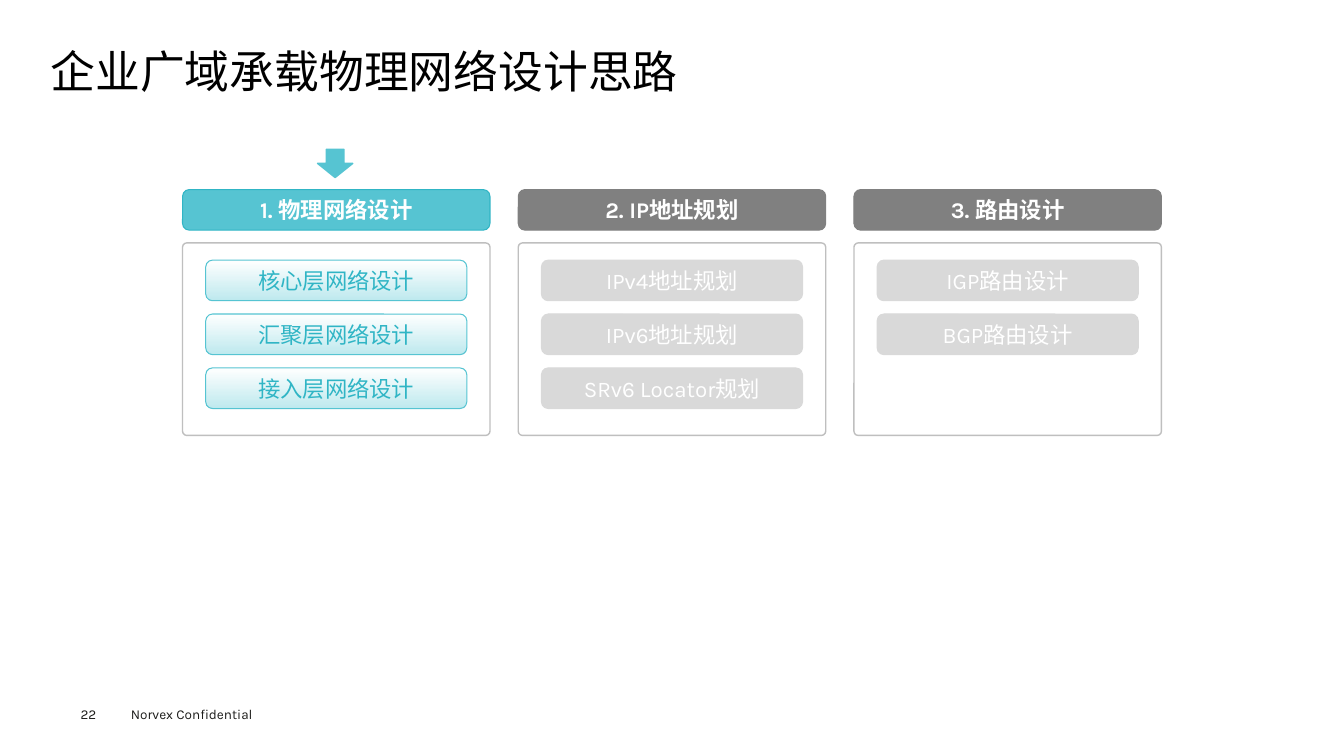
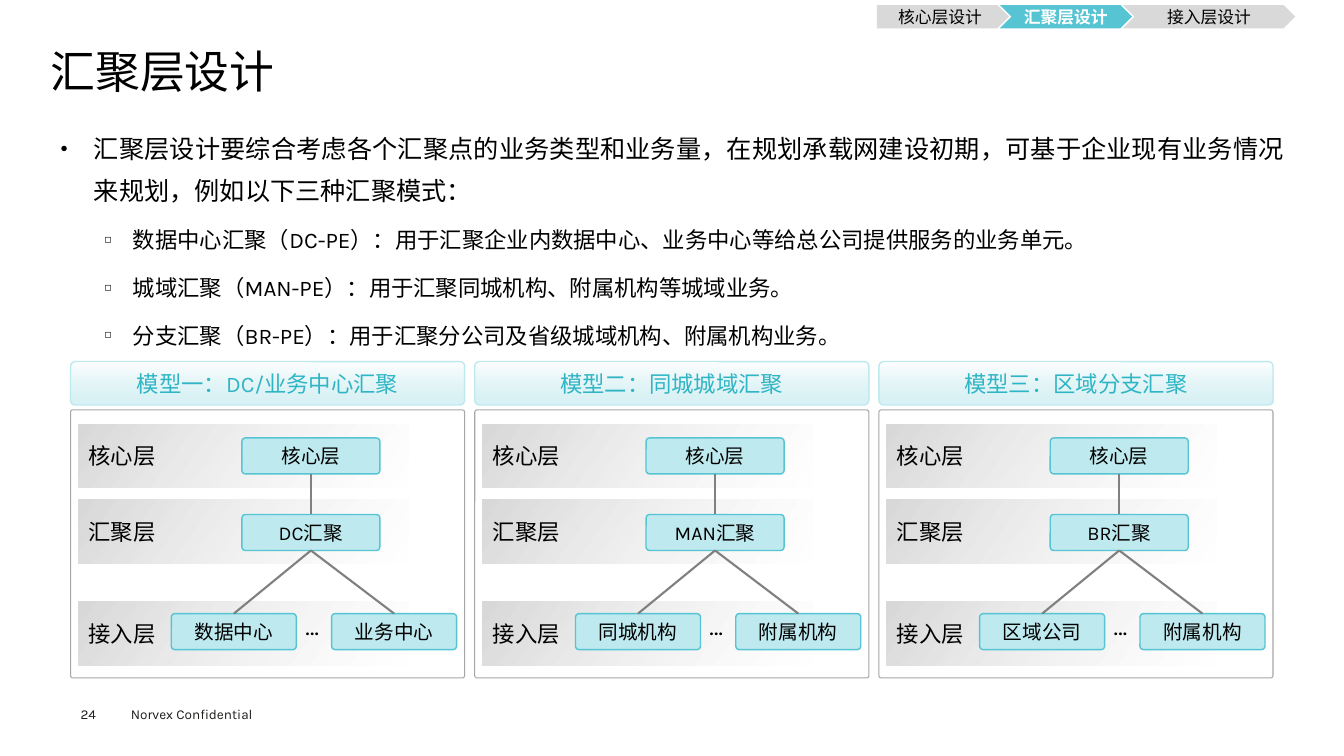
"""Build two slides on the physical design of an enterprise wide-area bearer network."""
from lxml.etree import SubElement
from pptx import Presentation
from pptx.dml.color import RGBColor
from pptx.enum.shapes import MSO_CONNECTOR, MSO_SHAPE
from pptx.enum.text import MSO_ANCHOR, MSO_AUTO_SIZE, PP_ALIGN
from pptx.oxml.ns import qn
from pptx.util import Pt

FONT = "Karla"
BLACK = RGBColor(0x00, 0x00, 0x00)
WHITE = RGBColor(0xFF, 0xFF, 0xFF)
INK = RGBColor(0x1D, 0x1D, 0x1B)
TEAL = RGBColor(0x56, 0xC4, 0xD2)
DEEP_TEAL = RGBColor(0x30, 0xB5, 0xC5)
PALE_TEAL = RGBColor(0xBE, 0xE9, 0xEE)
GREY = RGBColor(0x80, 0x80, 0x80)
FRAME_GREY = RGBColor(0xA6, 0xA6, 0xA6)
SOFT_GREY = RGBColor(0xBF, 0xBF, 0xBF)
PALE_GREY = RGBColor(0xD9, 0xD9, 0xD9)

ITEM_GRADIENT = (WHITE, PALE_TEAL, 100, 90)
MODEL_GRADIENT = (WHITE, PALE_TEAL, 60, 90)
BAND_GRADIENT = (PALE_GREY, WHITE, 50, 36)


def add_block(slide, kind, box, fill=None, line=None, line_width=1, corner=None):
    shape = slide.shapes.add_shape(kind, *[Pt(length) for length in box])
    shape.shadow.inherit = False
    if corner is not None:
        shape.adjustments[0] = corner
    if fill is None:
        shape.fill.background()
    elif isinstance(fill, RGBColor):
        shape.fill.solid()
        shape.fill.fore_color.rgb = fill
    else:
        start, end, opacity, angle = fill
        shape.fill.gradient()
        shape.fill.gradient_angle = 360 - angle
        first_stop, last_stop = shape.fill.gradient_stops
        first_stop.color.rgb = start
        last_stop.color.rgb = end
        if opacity < 100:
            last_color = list(shape.element.spPr.iter(qn("a:srgbClr")))[-1]
            SubElement(last_color, qn("a:alpha"), val=str(opacity * 1000))
    if line is None:
        shape.line.fill.background()
    else:
        shape.line.color.rgb = line
        shape.line.width = Pt(line_width)
    return shape


def write(shape, text, size, color, bold=False, alignment=PP_ALIGN.CENTER, margin=None):
    text_frame = shape.text_frame
    text_frame.text = text
    if margin is not None:
        text_frame.margin_left = text_frame.margin_right = Pt(margin)
        text_frame.margin_top = text_frame.margin_bottom = Pt(margin)
    paragraph = text_frame.paragraphs[0]
    paragraph.alignment = alignment
    for run in paragraph.runs:
        run.font.name = FONT
        run.font.size = Pt(size)
        run.font.bold = bold
        run.font.color.rgb = color


presentation = Presentation()
presentation.slide_width = Pt(960)
presentation.slide_height = Pt(540)

slides = []
for layout_index, title_text, number in [
    (5, "企业广域承载物理网络设计思路", "22"),
    (1, "汇聚层设计", "24"),
]:
    slide = presentation.slides.add_slide(presentation.slide_layouts[layout_index])
    title = slide.shapes.title
    title.left, title.top, title.width, title.height = Pt(36), Pt(35.3), Pt(889), Pt(38)
    write(title, title_text, 32, BLACK, alignment=PP_ALIGN.LEFT, margin=0)
    title.text_frame.vertical_anchor = MSO_ANCHOR.TOP
    title.text_frame.auto_size = MSO_AUTO_SIZE.NONE
    title.text_frame.paragraphs[0].line_spacing = 0.9
    footer = slide.shapes.add_textbox(Pt(86.4), Pt(500.4), Pt(115.2), Pt(19.4))
    write(footer, "Norvex Confidential", 9.7, INK, alignment=PP_ALIGN.LEFT)
    page_number = slide.shapes.add_textbox(Pt(57.6), Pt(504), Pt(39.6), Pt(11.5))
    write(page_number, number, 9.7, INK, alignment=PP_ALIGN.LEFT, margin=0)
    slides.append(slide)
overview_slide, aggregation_slide = slides

COLUMN_WIDTH, ITEM_WIDTH, ITEM_HEIGHT = 219.6, 186.5, 29
columns = [
    ("1. 物理网络设计", ["核心层网络设计", "汇聚层网络设计", "接入层网络设计"]),
    ("2. IP地址规划", ["IPv4地址规划", "IPv6地址规划", "SRv6 Locator规划"]),
    ("3. 路由设计", ["IGP路由设计", "BGP路由设计"]),
]
for column_index, (heading, items) in enumerate(columns):
    active = column_index == 0
    left = 130.4 + 239.8 * column_index
    header = add_block(
        overview_slide, MSO_SHAPE.ROUNDED_RECTANGLE, (left, 135.4, COLUMN_WIDTH, ITEM_HEIGHT),
        TEAL if active else GREY, DEEP_TEAL if active else GREY, 0.75)
    write(header, heading, 16, WHITE, bold=True)
    add_block(overview_slide, MSO_SHAPE.ROUNDED_RECTANGLE,
              (left, 173.5, COLUMN_WIDTH, 137.5), line=SOFT_GREY, corner=0.022)
    item_left = left + (COLUMN_WIDTH - ITEM_WIDTH) / 2
    for item_index, item_text in enumerate(items):
        item = add_block(
            overview_slide, MSO_SHAPE.ROUNDED_RECTANGLE,
            (item_left, 185.8 + 38.5 * item_index, ITEM_WIDTH, ITEM_HEIGHT),
            ITEM_GRADIENT if active else PALE_GREY, TEAL if active else PALE_GREY, 0.75)
        write(item, item_text, 16, DEEP_TEAL if active else WHITE)
add_block(overview_slide, MSO_SHAPE.DOWN_ARROW, (226.8, 106.6, 25.2, 20.2), TEAL, TEAL)

body = aggregation_slide.placeholders[1]
body.left, body.top, body.width, body.height = Pt(36), Pt(82.8), Pt(889), Pt(167.8)
body.text_frame.auto_size = MSO_AUTO_SIZE.NONE
body.text_frame.text = "\n".join([
    "汇聚层设计要综合考虑各个汇聚点的业务类型和业务量，在规划承载网建设初期，"
    "可基于企业现有业务情况来规划，例如以下三种汇聚模式：",
    "数据中心汇聚（DC-PE）：用于汇聚企业内数据中心、业务中心等给总公司提供服务的业务单元。",
    "城域汇聚（MAN-PE）：用于汇聚同城机构、附属机构等城域业务。",
    "分支汇聚（BR-PE）：用于汇聚分公司及省级城域机构、附属机构业务。",
])
for index, paragraph in enumerate(body.text_frame.paragraphs):
    lead = index == 0
    paragraph.level = 0 if lead else 1
    paragraph.alignment = PP_ALIGN.JUSTIFY if lead else PP_ALIGN.LEFT
    paragraph.line_spacing = 1.4
    paragraph.space_before = Pt(0 if lead else 7.2)
    properties = paragraph._p.get_or_add_pPr()
    properties.set("marL", str(Pt(23.8 if lead else 51.8)))
    properties.set("indent", str(Pt(-23.8 if lead else -20.2)))
    SubElement(properties, qn("a:buSzPct"), val="50000")
    SubElement(properties, qn("a:buChar"), char="●" if lead else "◻")
    for run in paragraph.runs:
        run.font.name = FONT
        run.font.size = Pt(18 if lead else 16)
        run.font.color.rgb = BLACK

for kind, left, width, step_text, active in [
    (MSO_SHAPE.PENTAGON, 626.4, 94.3, "核心层设计", False),
    (MSO_SHAPE.CHEVRON, 802.1, 123.1, "接入层设计", False),
    (MSO_SHAPE.CHEVRON, 714.2, 94.3, "汇聚层设计", True),
]:
    step = add_block(aggregation_slide, kind, (left, 3.6, width, 16.6),
                     TEAL if active else PALE_GREY)
    write(step, step_text, 12, WHITE if active else BLACK, bold=active, margin=0)

MODEL_WIDTH = 281.5
models = [
    ("模型一：DC/业务中心汇聚", "DC汇聚", "数据中心", "业务中心"),
    ("模型二：同城城域汇聚", "MAN汇聚", "同城机构", "附属机构"),
    ("模型三：区域分支汇聚", "BR汇聚", "区域公司", "附属机构"),
]
for model_index, (heading, hub_text, first_site, last_site) in enumerate(models):
    left = 50.4 + 288.7 * model_index
    header = add_block(aggregation_slide, MSO_SHAPE.ROUNDED_RECTANGLE,
                       (left, 258.3, MODEL_WIDTH, 31), MODEL_GRADIENT, PALE_TEAL, corner=0.106)
    write(header, heading, 16, DEEP_TEAL, margin=0)
    add_block(aggregation_slide, MSO_SHAPE.ROUNDED_RECTANGLE,
              (left, 292.8, MODEL_WIDTH, 191.5), line=FRAME_GREY, line_width=0.75, corner=0.009)
    for band_top, layer in [(303, "核心层"), (357, "汇聚层"), (429.7, "接入层")]:
        band = add_block(aggregation_slide, MSO_SHAPE.RECTANGLE,
                         (left + 5.8, band_top, 235.4, 45.5), BAND_GRADIENT)
        write(band, layer, 16, BLACK, alignment=PP_ALIGN.LEFT)
    nodes = []
    for offset, top, width, node_text in [
        (122.4, 312.8, 98.6, "核心层"),
        (122.4, 367.5, 98.6, hub_text),
        (72, 438.3, 89.3, first_site),
        (186.5, 438.3, 89.3, last_site),
    ]:
        node = add_block(aggregation_slide, MSO_SHAPE.ROUNDED_RECTANGLE,
                         (left + offset, top, width, 25.7), PALE_TEAL, TEAL, corner=0.099)
        write(node, node_text, 14, BLACK)
        nodes.append(node)
    core, hub, *sites = nodes
    for upper, lower in [(core, hub)] + [(hub, site) for site in sites]:
        connector = aggregation_slide.shapes.add_connector(MSO_CONNECTOR.STRAIGHT, 0, 0, 0, 0)
        connector.begin_connect(upper, 2)
        connector.end_connect(lower, 0)
        connector.line.color.rgb = GREY
        connector.line.width = Pt(1.5)
        SubElement(connector.element.spPr, qn("a:effectLst"))
    dots = aggregation_slide.shapes.add_textbox(Pt(left + 160.6), Pt(432.5), Pt(27.4), Pt(28.8))
    write(dots, "…", 18, BLACK, alignment=PP_ALIGN.LEFT)
    dots.text_frame.auto_size = MSO_AUTO_SIZE.SHAPE_TO_FIT_TEXT

presentation.save("out.pptx")
